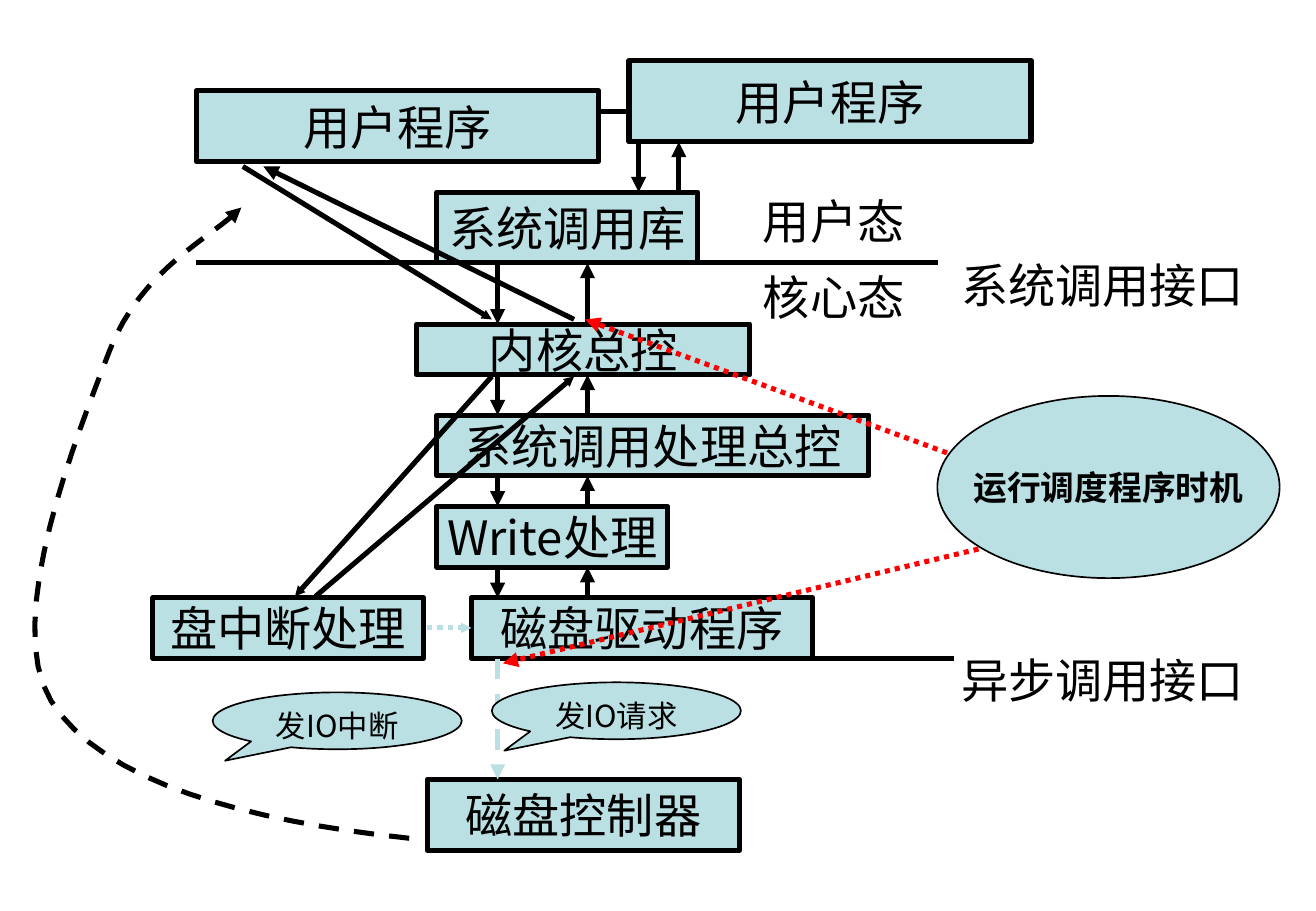
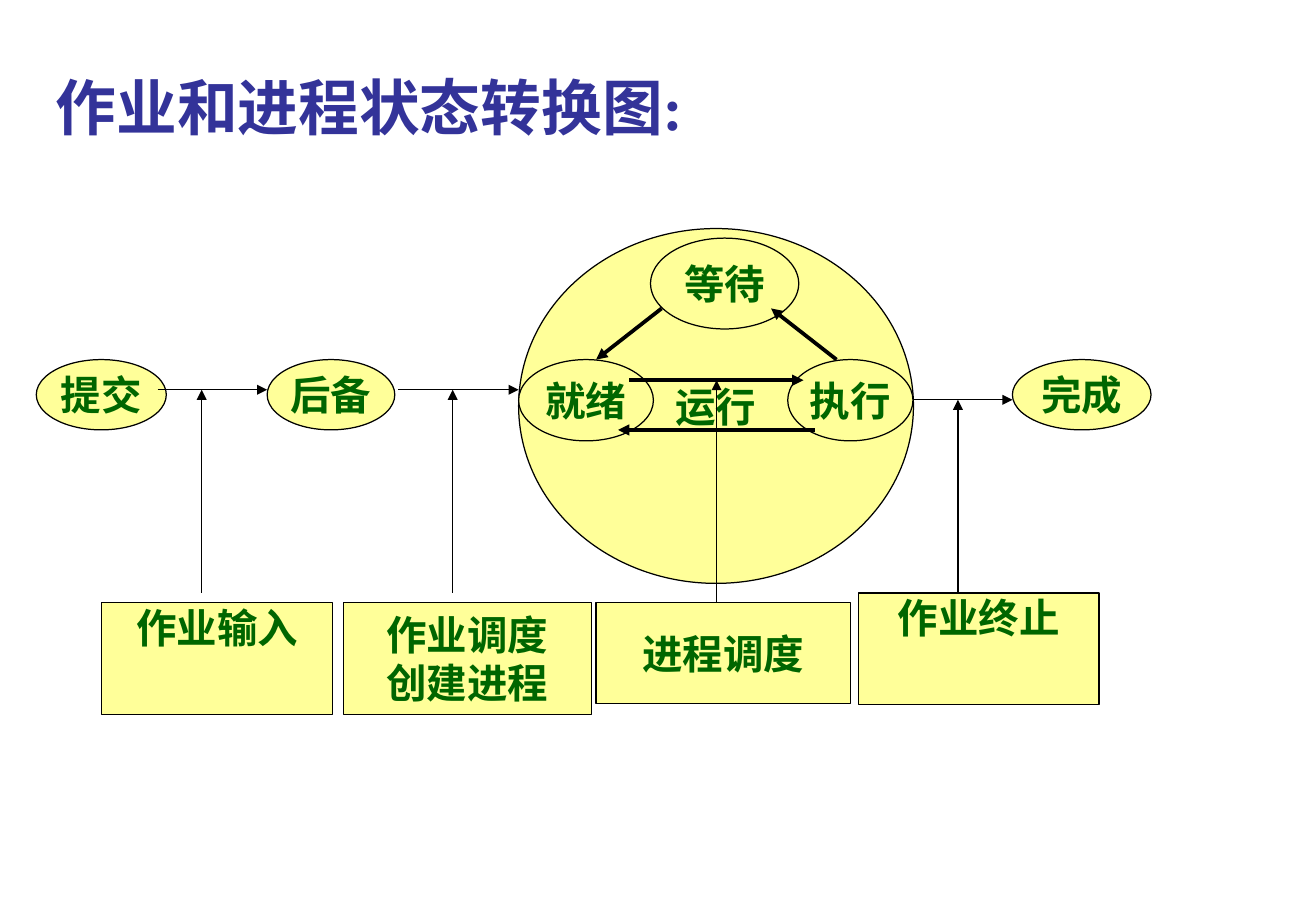
from lxml import etree
from pptx import Presentation
from pptx.dml.color import RGBColor
from pptx.enum.dml import MSO_LINE
from pptx.enum.shapes import MSO_CONNECTOR, MSO_SHAPE
from pptx.enum.text import MSO_ANCHOR, MSO_AUTO_SIZE, PP_ALIGN
from pptx.oxml.ns import qn
from pptx.util import Cm, Pt

RECT, OVAL = MSO_SHAPE.RECTANGLE, MSO_SHAPE.OVAL
CALLOUT = MSO_SHAPE.OVAL_CALLOUT
STRAIGHT = MSO_CONNECTOR.STRAIGHT
DASH, DOT = MSO_LINE.DASH, MSO_LINE.ROUND_DOT
TOP, MIDDLE = MSO_ANCHOR.TOP, MSO_ANCHOR.MIDDLE
LEFT, CENTER = PP_ALIGN.LEFT, PP_ALIGN.CENTER

# Shared style
BLACK, RED, PALE, YELLOW = "000000", "FF0000", "BBE0E3", "FFFF99"
GREEN, INDIGO = "006600", "333399"
SANS, SERIF, KARLA = "Noto Sans CJK SC", "Times New Roman", "Karla"

# Slide 1, lengths in cm: text, left, top, width, height
CALL_STACK = [
    ("系统调用库", 9.14, 4.02, 5.46, 1.48),
    ("内核总控", 8.71, 6.78, 6.98, 1.06),
    ("系统调用处理总控", 9.14, 8.68, 9.04, 1.27),
    ("Write处理", 9.14, 10.59, 4.83, 1.27),
    ("磁盘驱动程序", 9.86, 12.5, 7.14, 1.27),
]
OTHER_BOXES = [
    ("用户程序", 4.11, 1.9, 8.41, 1.48),
    ("用户程序", 13.16, 1.27, 8.41, 1.7),
    ("盘中断处理", 3.2, 12.5, 5.66, 1.27),
    ("磁盘控制器", 8.94, 16.3, 6.53, 1.48),
]
LABELS = [
    ("异步调用接口", 19.86, 13.49, 6.43, 1.45),
    ("系统调用接口", 19.86, 5.23, 6.43, 1.45),
    ("用户态", 15.71, 3.89, 3.45, 1.45),
    ("核心态", 15.71, 5.49, 3.89, 1.45),
]
SCHEDULER = ("运行调度程序时机", 19.61, 8.28, 7.16, 3.81)
CALLOUTS = [
    ("发IO请求", 10.29, 14.27, 5.21, 1.19),
    ("发IO中断", 4.45, 14.48, 5.21, 1.19),
]
CALL_X, RETURN_X = 10.41, 12.29
# x1, y1, x2, y2
PLAIN_LINES = [
    (4.09, 5.49, 19.63, 5.49),
    (10.08, 13.77, 19.96, 13.77),
    (12.52, 2.34, 13.16, 2.34),
]
ARROWS = [
    (13.36, 2.97, 13.36, 4.02),
    (14.2, 4.02, 14.2, 2.97),
    (12.01, 6.68, 5.51, 3.48),
]
SMALL_ARROWS = [
    (10.29, 7.87, 6.17, 12.47),
    (6.6, 12.47, 12.01, 7.87),
    (5.08, 3.48, 10.29, 6.68),
]
REQUEST_ARROW = (CALL_X, 13.77, CALL_X, 16.3)
INTERRUPT_ARROW = (8.94, 13.13, 9.86, 13.13)
SCHEDULE_ARROWS = [
    (20.47, 11.48, 10.52, 13.87),
    (19.81, 9.47, 12.24, 6.68),
]
# Bezier nodes: start, then two controls and an end for each segment
RETURN_CURVE = [
    (8.56, 17.53), (5.18, 17.17), (2.13, 16.36), (1.07, 14.66),
    (0.03, 12.98), (1.63, 9.07), (2.29, 7.34),
    (2.95, 5.61), (4.47, 4.95), (5.05, 4.34),
]

# Slide 2
TITLE = ("作业和进程状态转换图:", 0.91, 0.64, 22.02, 3.18)
JOB_STATES = [
    ("提交", 0.76, 7.52, 2.72, 1.47),
    ("后备", 5.59, 7.52, 2.67, 1.47),
    ("运行", 10.85, 4.78, 8.26, 7.42),
    ("完成", 21.18, 7.52, 2.9, 1.47),
]
PROCESS_STATES = [
    ("就绪", 10.85, 7.52, 2.82, 1.7),
    ("执行", 16.48, 7.52, 2.62, 1.7),
    ("等待", 13.61, 4.98, 3.1, 1.9),
]
TOP_EVENTS = [
    ("作业输入", 2.13, 12.6, 4.83, 2.34),
    ("作业终止", 17.96, 12.4, 5.03, 2.34),
]
MIDDLE_EVENTS = [
    ("作业调度\n创建进程", 7.19, 12.6, 5.18, 2.34),
    ("进程调度", 12.47, 12.6, 5.33, 2.11),
]
JOB_ARROWS = [
    (3.3, 8.15, 5.59, 8.15),
    (8.33, 8.15, 10.85, 8.15),
    (19.1, 8.36, 21.18, 8.36),
    (4.22, 12.4, 4.22, 8.15),
    (9.47, 12.4, 9.47, 8.15),
    (20.04, 12.4, 20.04, 8.36),
    (14.99, 12.6, 14.99, 7.95),
]
PROCESS_ARROWS = [
    (13.16, 7.95, 16.81, 7.95),
    (17.04, 8.99, 12.93, 8.99),
    (17.5, 7.52, 16.13, 6.45),
    (13.84, 6.45, 12.47, 7.52),
]


def rgb(value):
    return RGBColor.from_string(value)


def write(sp, text, size, font=SANS, color=BLACK, bold=False, align=CENTER,
          anchor=MIDDLE, wrap=False):
    tf = sp.text_frame
    tf.text = text
    tf.auto_size = MSO_AUTO_SIZE.NONE
    tf.word_wrap = wrap
    tf.vertical_anchor = anchor
    for p in tf.paragraphs:
        p.alignment = align
        for r in p.runs:
            r.font.name, r.font.size, r.font.bold = font, Pt(size), bold
            r.font.color.rgb = rgb(color)
            # East Asian typeface follows the Latin one
            latin = r.font._element.find(qn("a:latin"))
            ea = etree.Element(qn("a:ea"), typeface=SANS)
            latin.addnext(ea)


def add_node(s, kind, node, fill, width, size, **style):
    text, *box = node
    sp = s.shapes.add_shape(kind, *map(Cm, box))
    sp.shadow.inherit = False
    sp.fill.solid()
    sp.fill.fore_color.rgb = rgb(fill)
    sp.line.color.rgb = rgb(BLACK)
    sp.line.width = Pt(width)
    write(sp, text, size, **style)
    return sp


def style_line(sp, color, width, dash=None, head="med"):
    sp.line.color.rgb = rgb(color)
    sp.line.width = Pt(width)
    if dash:
        sp.line.dash_style = dash
    if head:
        ln = sp.line._get_or_add_ln()
        etree.SubElement(ln, qn("a:tailEnd"), type="triangle", w=head, len=head)


def add_line(s, ends, color=BLACK, width=3, dash=None, head="med"):
    c = s.shapes.add_connector(STRAIGHT, *map(Cm, ends))
    style_line(c, color, width, dash, head)
    etree.SubElement(c._element.spPr, qn("a:effectLst"))


def bezier_points(nodes, steps=16):
    points = [nodes[0]]
    for i in range(0, len(nodes) - 1, 3):
        a, b, c, d = nodes[i:i + 4]
        for k in range(1, steps + 1):
            t = k / steps
            u = 1 - t
            weights = (u**3, 3 * u * u * t, 3 * u * t * t, t**3)
            points.append(tuple(
                sum(w * v for w, v in zip(weights, axis))
                for axis in zip(a, b, c, d)))
    return points


def add_curve(s, nodes):
    start, *rest = [(Cm(x), Cm(y)) for x, y in bezier_points(nodes)]
    builder = s.shapes.build_freeform(*start)
    builder.add_line_segments(rest, close=False)
    sp = builder.convert_to_shape()
    sp.shadow.inherit = False
    sp.fill.background()
    style_line(sp, BLACK, 3, DASH)


def build_call_slide(prs):
    s = prs.slides.add_slide(prs.slide_layouts[6])
    add_curve(s, RETURN_CURVE)
    for text, *box in LABELS:
        write(s.shapes.add_textbox(*map(Cm, box)), text, 28, align=LEFT, anchor=TOP)
    for node in CALL_STACK + OTHER_BOXES:
        add_node(s, RECT, node, PALE, 3, 28)
    add_node(s, OVAL, SCHEDULER, PALE, 1, 20, font=SERIF, bold=True)

    # Calls go down and returns go up between neighbouring layers
    for upper, lower in zip(CALL_STACK, CALL_STACK[1:]):
        bottom, top = upper[2] + upper[4], lower[2]
        add_line(s, (CALL_X, bottom, CALL_X, top))
        add_line(s, (RETURN_X, top, RETURN_X, bottom))
    for ends in PLAIN_LINES:
        add_line(s, ends, head=None)
    for ends in ARROWS:
        add_line(s, ends)
    for ends in SMALL_ARROWS:
        add_line(s, ends, head="sm")
    add_line(s, REQUEST_ARROW, PALE, dash=DASH)
    add_line(s, INTERRUPT_ARROW, PALE, dash=DOT, head="sm")
    for ends in SCHEDULE_ARROWS:
        add_line(s, ends, RED, dash=DOT)

    for node in CALLOUTS:
        sp = add_node(s, CALLOUT, node, PALE, 1, 18, anchor=TOP, wrap=True)
        sp.adjustments[0], sp.adjustments[1] = -0.45, 0.7


def build_state_slide(prs):
    s = prs.slides.add_slide(prs.slide_layouts[5])
    title = s.shapes.title
    text, *box = TITLE
    title.left, title.top, title.width, title.height = map(Cm, box)
    write(title, text, 36, SERIF, INDIGO, True, LEFT, wrap=True)

    label = dict(color=GREEN, bold=True)
    for kind, nodes, font in (
        (OVAL, JOB_STATES, KARLA),
        (OVAL, PROCESS_STATES, SERIF),
        (RECT, MIDDLE_EVENTS, KARLA),
    ):
        for node in nodes:
            add_node(s, kind, node, YELLOW, 0.75, 24, font=font, **label)
    for node in TOP_EVENTS:
        sp = add_node(s, RECT, node, YELLOW, 0.75, 24, font=KARLA, anchor=TOP, **label)
        sp.text_frame.margin_top = 0

    for ends in JOB_ARROWS:
        add_line(s, ends, width=0.75)
    for ends in PROCESS_ARROWS:
        add_line(s, ends, width=2.25)


def main():
    prs = Presentation()
    prs.slide_width, prs.slide_height = Cm(27.53), Cm(19.05)
    build_call_slide(prs)
    build_state_slide(prs)
    prs.save("out.pptx")


if __name__ == "__main__":
    main()
